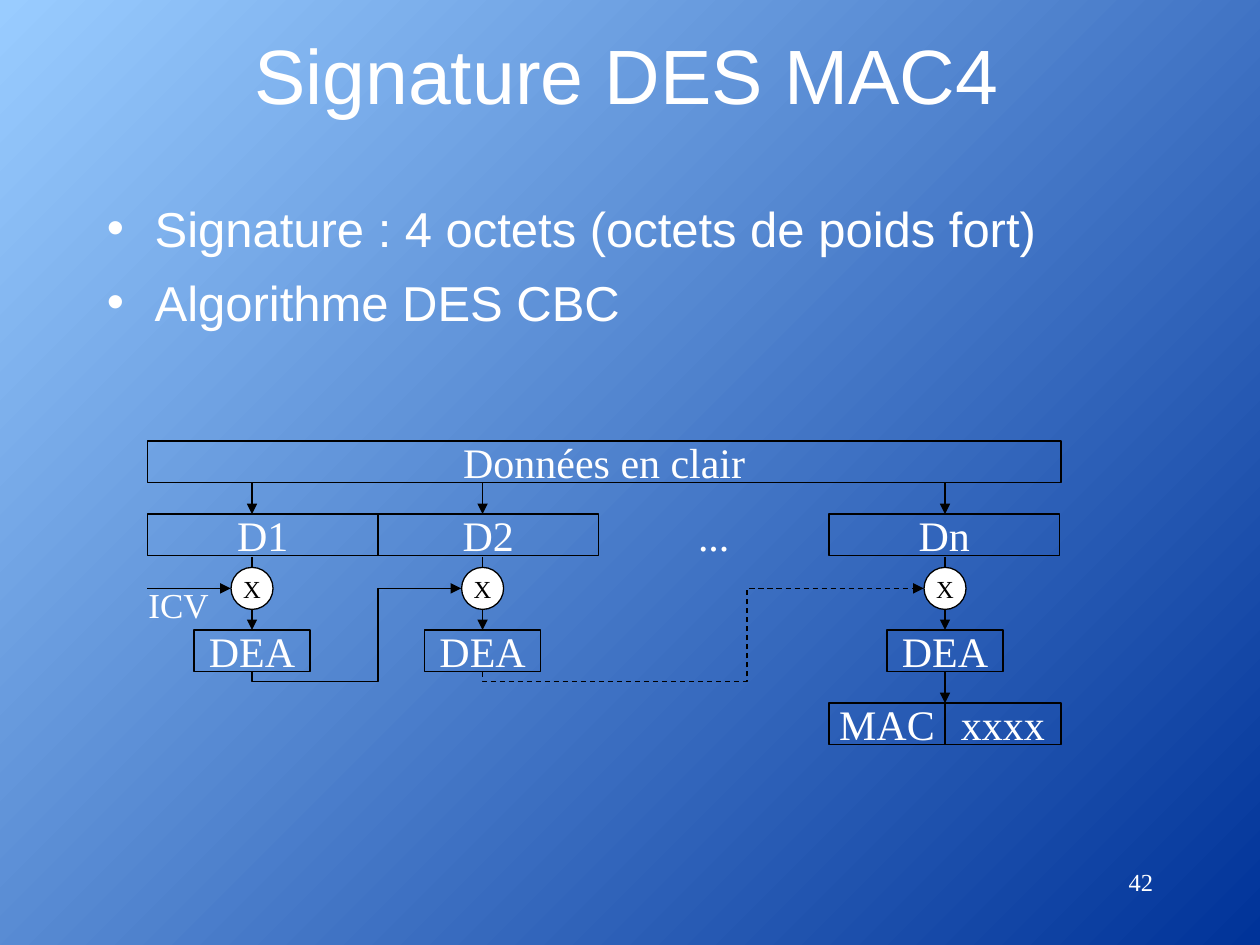
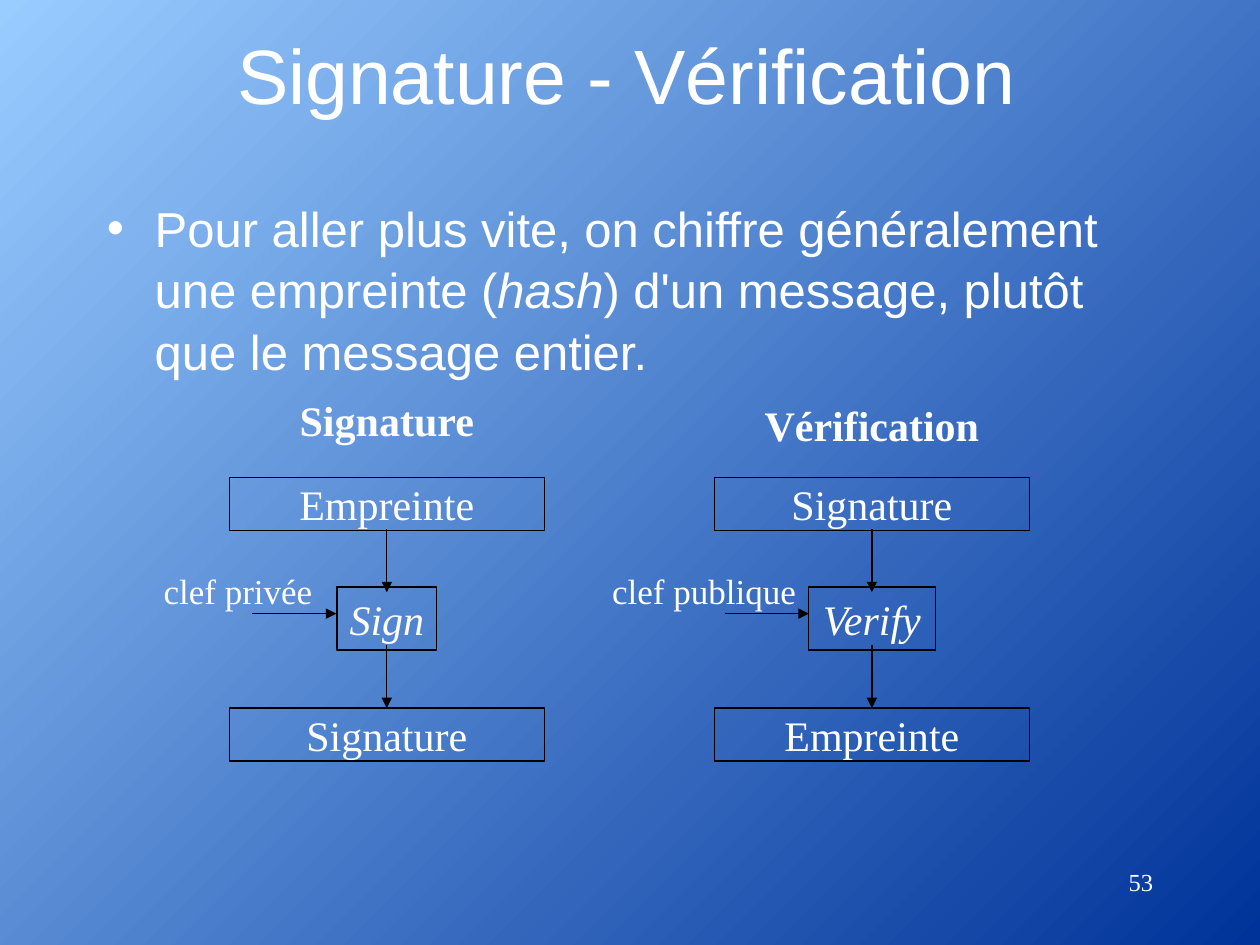
from lxml import etree
from pptx import Presentation
from pptx.dml.color import RGBColor
from pptx.enum.dml import MSO_LINE
from pptx.enum.shapes import MSO_CONNECTOR, MSO_SHAPE
from pptx.enum.text import MSO_ANCHOR, MSO_AUTO_SIZE, PP_ALIGN
from pptx.oxml.ns import qn
from pptx.util import Inches, Pt

WHITE = RGBColor(0xFF, 0xFF, 0xFF)
BLACK = RGBColor(0x00, 0x00, 0x00)
NAVY = RGBColor(0x00, 0x33, 0x99)
SKY = RGBColor(0x99, 0xCC, 0xFF)
SANS, SERIF = "Arial", "Times New Roman"
LEFT, CENTER, RIGHT = PP_ALIGN.LEFT, PP_ALIGN.CENTER, PP_ALIGN.RIGHT
TOP, MIDDLE = MSO_ANCHOR.TOP, MSO_ANCHOR.MIDDLE
RECT, OVAL = MSO_SHAPE.RECTANGLE, MSO_SHAPE.OVAL
STRAIGHT, DASH = MSO_CONNECTOR.STRAIGHT, MSO_LINE.DASH
NO_FIT = MSO_AUTO_SIZE.NONE


def add_run(para, text, size, color=WHITE, font=SERIF, bold=False, italic=False):
    """Add one formatted run to a paragraph."""
    run = para.add_run()
    run.text = text
    run.font.size = Pt(size)
    run.font.name = font
    run.font.color.rgb = color
    run.font.bold = bold
    run.font.italic = italic


def set_frame(shape, align, anchor, wrap=False):
    """Set up the text frame and return its first paragraph."""
    frame = shape.text_frame
    frame.auto_size = NO_FIT
    frame.word_wrap = wrap
    frame.vertical_anchor = anchor
    frame.paragraphs[0].alignment = align
    return frame.paragraphs[0]


def add_label(slide, text, x, y, w, h, size=24, align=LEFT, anchor=TOP, bold=False):
    """Add a one-line text box."""
    box = slide.shapes.add_textbox(Inches(x), Inches(y), Inches(w), Inches(h))
    add_run(set_frame(box, align, anchor), text, size, bold=bold)


def add_box(slide, text, x, y, w, h, italic=False):
    """Add an outlined, unfilled box with centred text."""
    draw_shape(slide, RECT, x, y, w, h, text, 24, WHITE, italic).fill.background()


def add_xor(slide, x, y):
    """Add a white XOR circle centred on a point."""
    r = 1 / 6
    oval = draw_shape(slide, OVAL, x - r, y - r, 2 * r, 2 * r, "X", 14, BLACK)
    oval.fill.solid()
    oval.fill.fore_color.rgb = WHITE


def draw_shape(slide, kind, x, y, w, h, text, size, color, italic=False):
    """Add a preset shape with a thin black outline and centred text."""
    shape = slide.shapes.add_shape(kind, Inches(x), Inches(y), Inches(w), Inches(h))
    shape.shadow.inherit = False
    shape.line.color.rgb = BLACK
    shape.line.width = Pt(0.75)
    add_run(set_frame(shape, CENTER, MIDDLE), text, size, color, italic=italic)
    return shape


def set_arrow(shape, dash=None):
    """Give a line its colour, dash, end arrow and no shadow."""
    shape.line.color.rgb = BLACK
    shape.line.width = Pt(0.75)
    if dash:
        shape.line.dash_style = dash
    props = shape._element.spPr
    etree.SubElement(props.find(qn("a:ln")), qn("a:tailEnd"), type="triangle")
    if props.find(qn("a:effectLst")) is None:
        etree.SubElement(props, qn("a:effectLst"))


def add_arrow(slide, x1, y1, x2, y2):
    """Add a straight arrow."""
    ends = [Inches(v) for v in (x1, y1, x2, y2)]
    set_arrow(slide.shapes.add_connector(STRAIGHT, *ends))


def add_chain(slide, points, dash=None):
    """Add a bent arrow through the points."""
    first, *rest = [(Inches(x), Inches(y)) for x, y in points]
    pen = slide.shapes.build_freeform(*first)
    pen.add_line_segments(rest, close=False)
    shape = pen.convert_to_shape()
    shape.fill.background()
    set_arrow(shape, dash)


def add_list(slide, items, h):
    """Add the bullet list; each item is a list of (text, italic) runs."""
    box = slide.shapes.add_textbox(Inches(0.75), Inches(1.5), Inches(8.5), Inches(h))
    para = set_frame(box, LEFT, TOP, wrap=True)
    for i, runs in enumerate(items):
        if i:
            para = box.text_frame.add_paragraph()
        props = para._p.get_or_add_pPr()
        props.set("marL", str(Inches(0.38)))
        props.set("indent", str(-Inches(0.38)))
        tint = etree.SubElement(props, qn("a:buClr"))
        etree.SubElement(tint, qn("a:srgbClr"), val=str(WHITE))
        etree.SubElement(props, qn("a:buFont"), typeface=SANS)
        etree.SubElement(props, qn("a:buChar"), char="•")
        para.line_spacing = 1.05
        if i:
            para.space_before = Pt(7)
        for text, italic in runs:
            add_run(para, text, 28, font=SANS, italic=italic)


def add_slide(prs, title, number):
    """Add a slide with its title and page number."""
    slide = prs.slides.add_slide(prs.slide_layouts[5])
    head = slide.shapes.title
    head.left, head.top = Inches(0.7), Inches(0.25)
    head.width, head.height = Inches(8.55), Inches(0.67)
    add_run(set_frame(head, CENTER, MIDDLE, wrap=True), title, 44, font=SANS)
    add_label(slide, number, 7.17, 6.83, 2.08, 0.5, 14, RIGHT)
    return slide


def paint_back(prs):
    """Give the master its diagonal blue gradient."""
    fill = prs.slide_master.background.fill
    fill.gradient()
    fill.gradient_angle = 135
    for stop, color, place in zip(fill.gradient_stops, (NAVY, SKY), (0, 1)):
        stop.color.rgb = color
        stop.position = place


def draw_mac(slide):
    """Draw the DES CBC chain that yields the MAC."""
    cols = (2, 3.83, 7.5)
    high, wide, mid = 0.33, 0.92, 4.67
    add_box(slide, "Données en clair", 1.17, 3.5, 7.25, high)
    for text, x, w in (("D1", 1.17, 1.83), ("D2", 3, 1.75), ("Dn", 6.58, 1.83)):
        add_box(slide, text, x, 4.08, w, high)
    add_label(slide, "...", 4.75, 4.08, 1.83, high, align=CENTER, anchor=MIDDLE)
    for x in cols:
        add_arrow(slide, x, 3.83, x, 4.08)
        add_arrow(slide, x, 4.42, x, 5)
        add_box(slide, "DEA", x - wide / 2, 5, wide, high)
        add_xor(slide, x, mid)
    links = ((cols[0], 3, cols[1], None), (cols[1], 5.93, cols[2], DASH))
    for start, turn, end, dash in links:
        tip = end - 0.17
        path = [(start, 5.33), (start, 5.41), (turn, 5.41), (turn, mid), (tip, mid)]
        add_chain(slide, path, dash)
    add_arrow(slide, 1.17, mid, 1.83, mid)
    add_label(slide, "ICV", 1.08, 4.58, 0.78, 0.44, 20)
    add_arrow(slide, 7.5, 5.33, 7.5, 5.58)
    add_box(slide, "MAC", 6.58, 5.58, wide, high)
    add_box(slide, "xxxx", 7.5, 5.58, wide, high)


def draw_flow(slide, mid, head, top, source, step, wide, result, key, left, width, start):
    """Draw one column: source, keyed step and result."""
    x = mid - 1.25
    add_label(slide, head, x, top, 2.5, 0.5, align=CENTER, bold=True)
    add_box(slide, source, x, 3.79, 2.5, 0.42)
    add_box(slide, step, mid - wide / 2, 4.66, wide, 0.5, italic=True)
    add_box(slide, result, x, 5.62, 2.5, 0.42)
    for y in (4.2, 5.12):
        add_arrow(slide, mid, y, mid, y + 0.5)
    add_arrow(slide, start, 4.87, start + 0.67, 4.87)
    add_label(slide, key, left, 4.47, width, 0.44, 20)


def main():
    """Build and save the deck."""
    prs = Presentation()
    prs.slide_width, prs.slide_height = Inches(10), Inches(7.5)
    paint_back(prs)

    slide = add_slide(prs, "Signature DES MAC4", "42")
    lines = ("Signature : 4 octets (octets de poids fort)", "Algorithme DES CBC")
    add_list(slide, [[(text, False)] for text in lines], 1.44)
    draw_mac(slide)

    slide = add_slide(prs, "Signature - Vérification", "53")
    add_list(slide, [[
        ("Pour aller plus vite, on chiffre généralement une empreinte (", False),
        ("hash", True),
        (") d'un message, plutôt que le message entier.", False),
    ]], 5.17)
    draw_flow(slide, 3.07, "Signature", 3.08, "Empreinte", "Sign", 0.79,
              "Signature", "clef privée", 1.2, 1.38, 2)
    draw_flow(slide, 6.92, "Vérification", 3.12, "Signature", "Verify", 1.01,
              "Empreinte", "clef publique", 4.76, 1.66, 5.75)
    prs.save("out.pptx")


if __name__ == "__main__":
    main()
